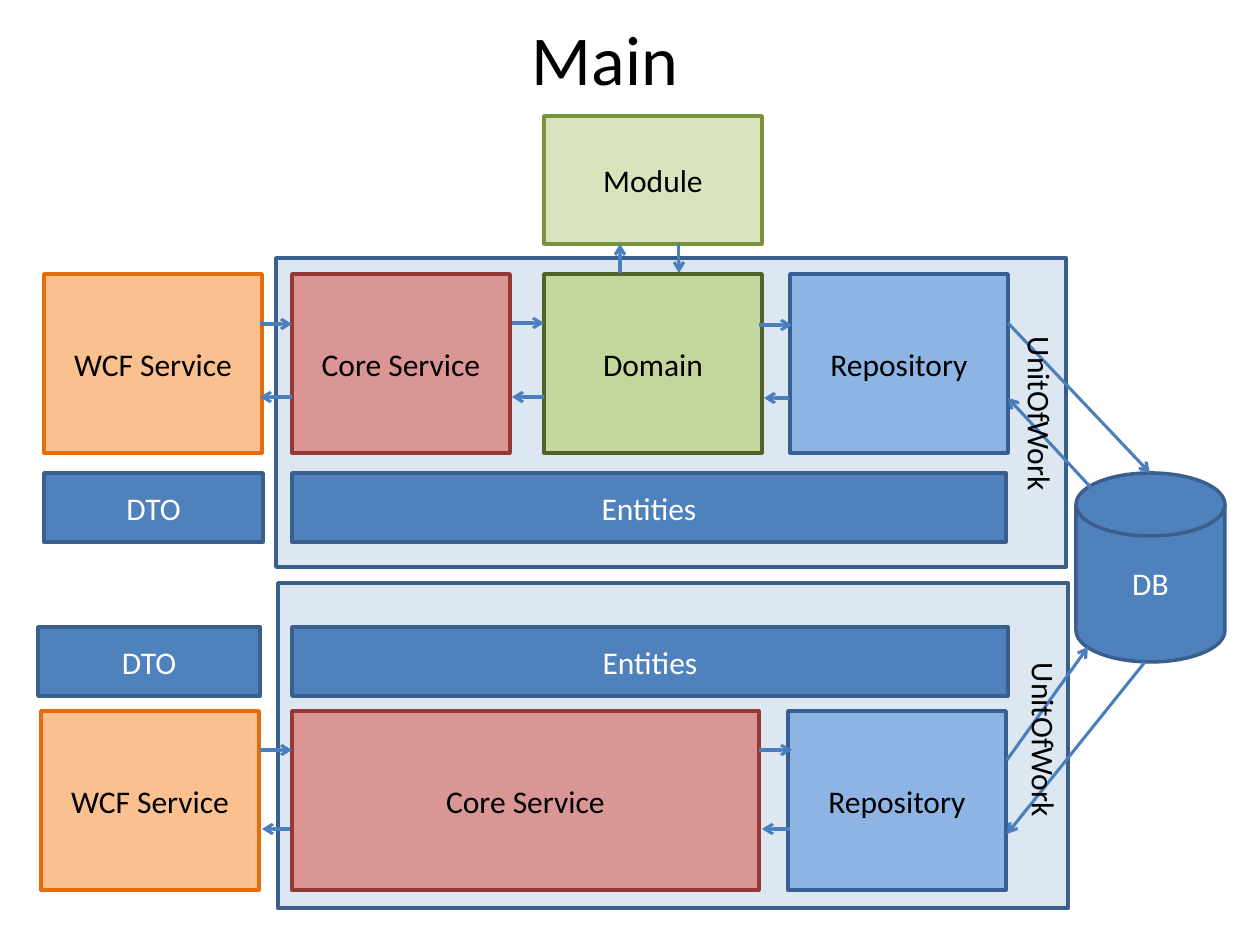
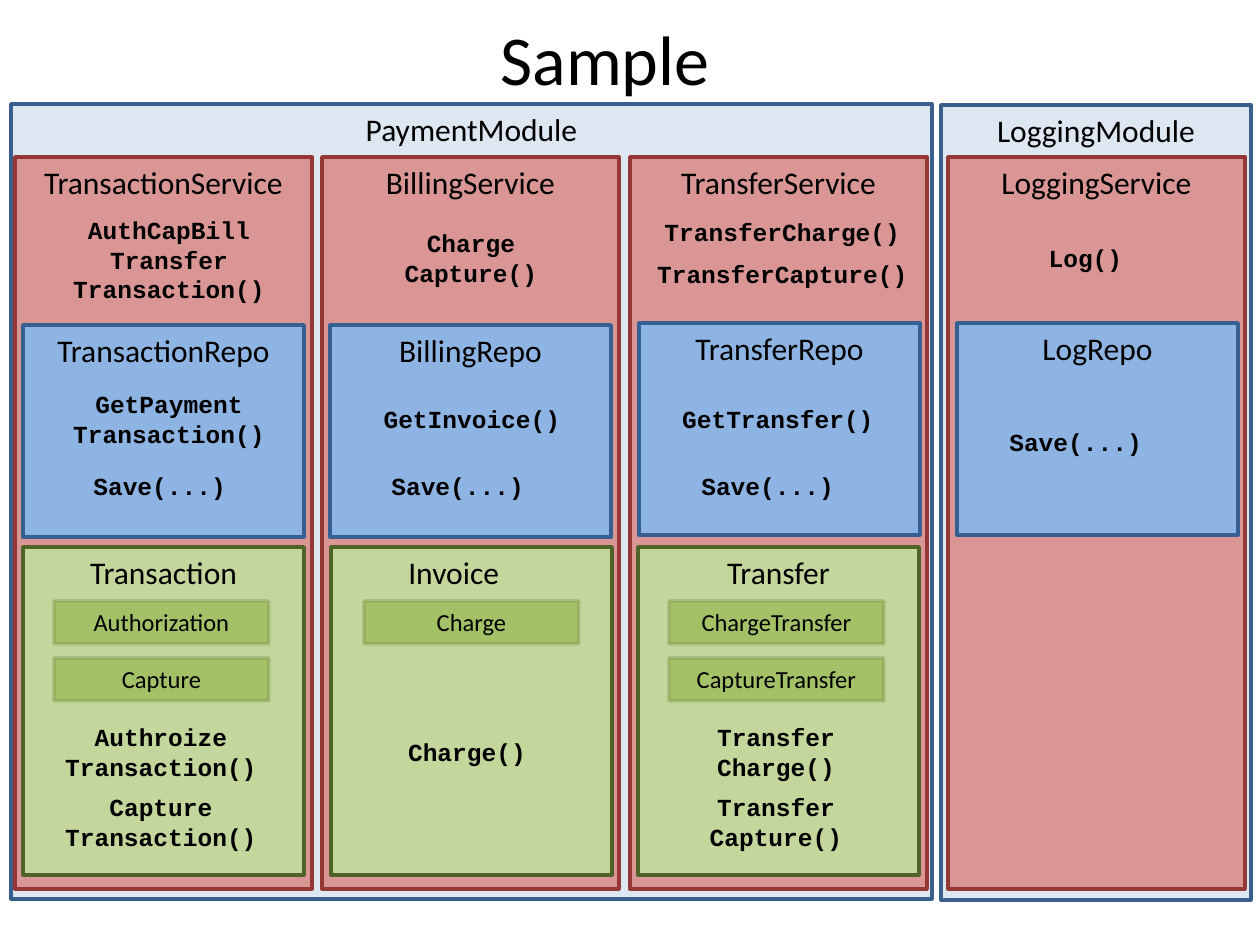
from lxml.etree import SubElement
from pptx import Presentation
from pptx.dml.color import RGBColor
from pptx.enum.shapes import MSO_CONNECTOR, MSO_SHAPE
from pptx.enum.text import MSO_ANCHOR, MSO_AUTO_SIZE, PP_ALIGN
from pptx.oxml.ns import qn
from pptx.util import Emu, Pt

PIXEL = 914400 / 126
BODY_FONT = "Calibri"
CODE_FONT = "Courier New"
BLACK = "000000"
WHITE = "FFFFFF"
ARROW = "4B7EBC"

# Fill, line, fill opacity and line opacity in percent
STYLES = {
    "boundary": ("4F81BD", "3A5F8C", 19, 100),
    "data": ("4F81BD", "3A5F8C", 100, 100),
    "gateway": ("FAC090", "E46C0A", 100, 100),
    "service": ("D99694", "953735", 100, 100),
    "domain": ("C3D69B", "4F6228", 100, 100),
    "module": ("D7E4BD", "77933C", 100, 100),
    "repository": ("8EB4E3", "376092", 100, 100),
    "part": ("A3C167", "4F6228", 100, 20),
}


def px(value):
    """Turn pixels into EMU."""
    return Emu(round(value * PIXEL))


def color(hex_code):
    """Turn a hex string into a colour."""
    return RGBColor.from_string(hex_code)


def set_opacity(parent, percent):
    """Make the solid colour inside an XML element translucent."""
    if percent < 100:
        for node in parent.iter(qn("a:srgbClr")):
            SubElement(node, qn("a:alpha"), val=str(percent * 1000))


def write_text(frame, text, size=18, font=BODY_FONT, ink=BLACK, bold=False,
               align=PP_ALIGN.CENTER, anchor=MSO_ANCHOR.TOP):
    """Put formatted text in a frame; a newline is a line break."""
    frame.word_wrap = True
    frame.vertical_anchor = anchor
    paragraph = frame.paragraphs[0]
    paragraph.text = text
    paragraph.alignment = align
    for run in paragraph.runs:
        run.font.size = Pt(size)
        run.font.name = font
        run.font.bold = bold
        run.font.color.rgb = color(ink)


def add_box(slide, style, left, top, width, height, text="",
            kind=MSO_SHAPE.RECTANGLE, **text_format):
    """Add a filled shape in one of the named styles."""
    fill, line, fill_opacity, line_opacity = STYLES[style]
    shape = slide.shapes.add_shape(kind, px(left), px(top), px(width), px(height))
    shape.shadow.inherit = False
    shape.fill.solid()
    shape.fill.fore_color.rgb = color(fill)
    shape.line.color.rgb = color(line)
    shape.line.width = Pt(2)
    properties = shape.element.spPr
    set_opacity(properties.find(qn("a:solidFill")), fill_opacity)
    set_opacity(properties.find(qn("a:ln")), line_opacity)
    if text:
        write_text(shape.text_frame, text, **text_format)
    return shape


def add_block(slide, style, left, top, width, height, text, **options):
    """Add a box with its text in the middle."""
    return add_box(slide, style, left, top, width, height, text,
                   anchor=MSO_ANCHOR.MIDDLE, **options)


def add_label(slide, left, top, width, height, text, **text_format):
    """Add a text box that fits its text."""
    label = slide.shapes.add_textbox(px(left), px(top), px(width), px(height))
    write_text(label.text_frame, text, **text_format)
    label.text_frame.auto_size = MSO_AUTO_SIZE.SHAPE_TO_FIT_TEXT
    return label


def add_code(slide, left, top, text, width=218, align=PP_ALIGN.CENTER):
    """Add a method name in bold code type."""
    height = 14 + 29 * (text.count("\n") + 1)
    add_label(slide, left, top, width, height, text, size=14, font=CODE_FONT,
              bold=True, align=align)


def add_arrow(slide, start_x, start_y, end_x, end_y):
    """Add a straight arrow pointing at its end."""
    arrow = slide.shapes.add_connector(
        MSO_CONNECTOR.STRAIGHT, px(start_x), px(start_y), px(end_x), px(end_y))
    arrow.line.color.rgb = color(ARROW)
    arrow.line.width = Pt(1.75)
    SubElement(arrow.line._get_or_add_ln(), qn("a:tailEnd"), type="arrow")
    SubElement(arrow.element.spPr, qn("a:effectLst"))


def add_titled_slide(presentation, title):
    """Add a title-only slide with the shared title style."""
    slide = presentation.slides.add_slide(presentation.slide_layouts[5])
    shape = slide.shapes.title
    shape.left, shape.top, shape.width, shape.height = px(38), px(0), px(1134), px(116)
    write_text(shape.text_frame, title, size=40, anchor=MSO_ANCHOR.MIDDLE)
    return slide


def build_main(presentation):
    """Build the overview of layers around the database."""
    slide = add_titled_slide(presentation, "Main")
    add_box(slide, "boundary", 276, 258, 790, 309)
    add_box(slide, "boundary", 278, 583, 790, 325)

    for style, left, text in [("gateway", 44, "WCF Service"),
                              ("service", 292, "Core Service"),
                              ("domain", 544, "Domain"),
                              ("repository", 790, "Repository")]:
        add_block(slide, style, left, 274, 218, 179, text)
    for style, left, width, text in [("gateway", 41, 218, "WCF Service"),
                                     ("service", 292, 467, "Core Service"),
                                     ("repository", 788, 218, "Repository")]:
        add_block(slide, style, left, 711, width, 179, text)
    add_block(slide, "module", 544, 116, 218, 128, "Module")

    for left, top, width, text in [(44, 473, 219, "DTO"),
                                   (292, 473, 714, "Entities"),
                                   (38, 627, 222, "DTO"),
                                   (292, 627, 716, "Entities")]:
        add_block(slide, "data", left, top, width, 69, text, ink=WHITE)
    add_block(slide, "data", 1076, 473, 149, 189, "DB", ink=WHITE,
              kind=MSO_SHAPE.FLOWCHART_MAGNETIC_DISK)

    level_arrows = [
        (260, 292, 324), (512, 544, 323), (759, 792, 325),
        (789, 764, 398), (544, 512, 397), (292, 260, 397),
        (260, 292, 750), (759, 792, 750), (290, 262, 829), (790, 762, 829)]
    for start_x, end_x, y in level_arrows:
        add_arrow(slide, start_x, y, end_x, y)
    other_arrows = [
        (620, 273, 620, 244), (679, 243, 679, 273),
        (1008, 323, 1150, 473), (1096, 493, 1008, 398),
        (1007, 760, 1088, 647), (1145, 662, 1007, 834)]
    for ends in other_arrows:
        add_arrow(slide, *ends)

    for left, top in [(949, 391), (953, 717)]:
        label = add_label(slide, left, top, 183, 50, "UnitOfWork",
                          align=PP_ALIGN.LEFT)
        label.rotation = 90


def add_service(slide, left, name, repository, methods, save):
    """Add a service column with its repository and methods."""
    add_box(slide, "service", left, 157, 297, 732, name)
    add_box(slide, "repository", *repository)
    for method in methods:
        add_code(slide, *method)
    add_code(slide, *save, "Save(...)", width=164, align=PP_ALIGN.LEFT)


def add_entity(slide, left, name, parts_left, parts, methods):
    """Add an entity with its parts and methods."""
    entity = add_box(slide, "domain", left, 547, 281, 328, name)
    for row, part in enumerate(parts):
        add_box(slide, "part", parts_left, 601 + 57 * row, 215, 43, part, size=14)
    for method in methods:
        add_code(slide, *method)
    return entity


def build_sample(presentation):
    """Build the example of two modules and their services."""
    slide = add_titled_slide(presentation, "Sample")
    add_box(slide, "boundary", 941, 105, 310, 795, "LoggingModule")
    add_box(slide, "boundary", 11, 104, 921, 795, "PaymentModule")

    add_service(slide, 15, "TransactionService",
                (23, 325, 281, 212, "TransactionRepo"),
                [(60, 209, "AuthCapBill\nTransfer\nTransaction()"),
                 (60, 383, "GetPayment\nTransaction()")], (81, 465))
    add_service(slide, 322, "BillingService",
                (330, 325, 281, 212, "BillingRepo"),
                [(362, 222, "Charge\nCapture()"),
                 (363, 398, "GetInvoice()")], (379, 465))
    add_service(slide, 630, "TransferService",
                (639, 323, 281, 212, "TransferRepo"),
                [(639, 211, "TransferCharge()", 287),
                 (639, 253, "TransferCapture()", 287),
                 (669, 398, "GetTransfer()")], (689, 465))
    add_service(slide, 948, "LoggingService",
                (957, 323, 281, 212, "LogRepo"),
                [(942, 237, "Log()", 287)], (997, 421))

    add_entity(slide, 23, "Transaction", 54, ["Authorization", "Capture"],
               [(52, 716, "Authroize\nTransaction()"),
                (52, 786, "Capture\nTransaction()")])
    invoice = add_entity(slide, 331, "Invoice", 364, ["Charge"],
                         [(358, 731, "Charge()")])
    invoice.text_frame.margin_right = px(48)
    add_entity(slide, 638, "Transfer", 669, ["ChargeTransfer", "CaptureTransfer"],
               [(667, 716, "Transfer\nCharge()"),
                (667, 786, "Transfer\nCapture()")])


def main():
    """Build and save the presentation."""
    presentation = Presentation()
    presentation.slide_width = px(1260)
    presentation.slide_height = px(945)
    build_main(presentation)
    build_sample(presentation)
    presentation.save("out.pptx")


main()
